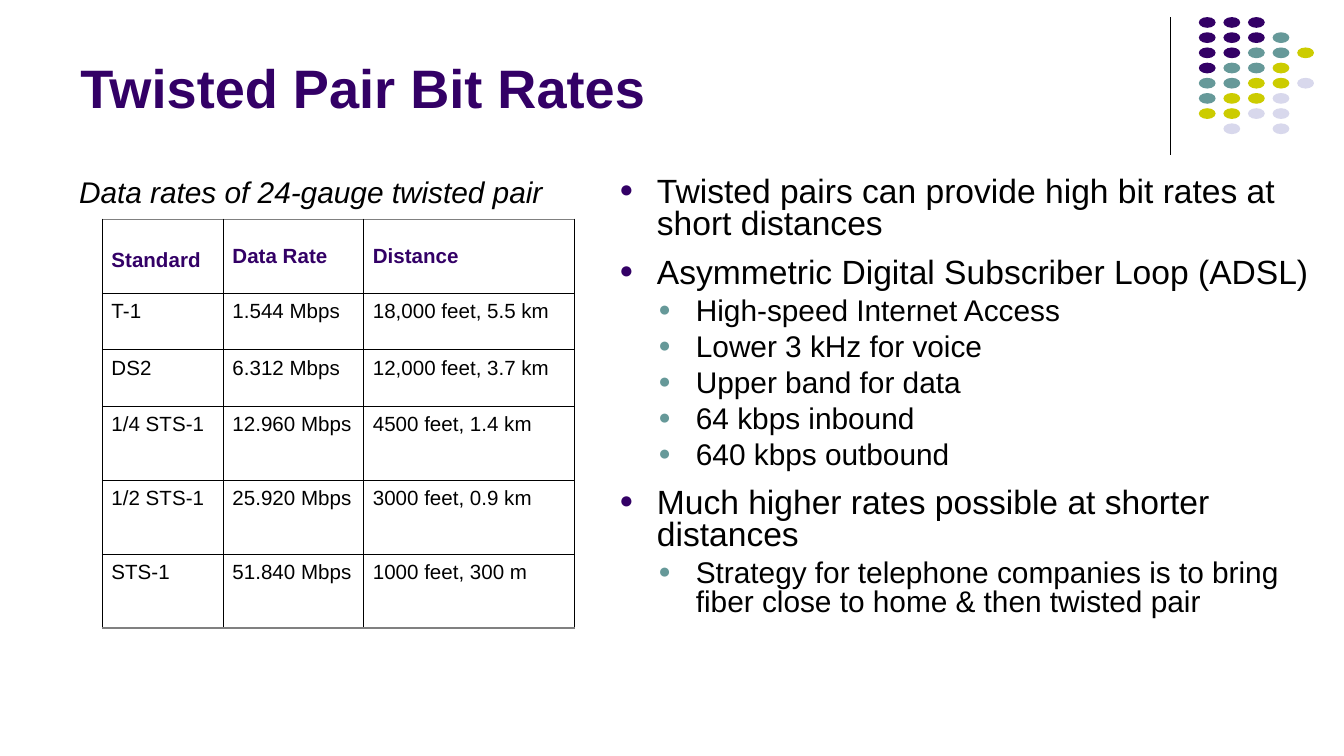
from dataclasses import dataclass

from lxml import etree
from pptx import Presentation, util as u
from pptx.dml.color import RGBColor
from pptx.enum import shapes, text
from pptx.oxml.ns import qn


@dataclass(frozen=True)
class Theme:
    font: str = "Arial"
    purple: str = "330066"
    teal: str = "669999"
    olive: str = "CCCC00"
    lavender: str = "D8D8EC"
    black: str = "000000"
    gray: str = "808080"
    title_size: float = 29
    body_size: float = 18
    detail_size: float = 16
    table_size: float = 11


THEME = Theme()
WIDTH = u.Inches(10)
HEIGHT = u.Emu(WIDTH * 9 // 16)
COLUMN, ROW = WIDTH / 100, HEIGHT / 56.25

DOT_ROWS = ["PPP", "PPPT", "PPTTY", "PTTY", "TTYYL", "TYYL", "YYLL", " L L"]
DOT_COLORS = {"P": THEME.purple, "T": THEME.teal, "Y": THEME.olive, "L": THEME.lavender}

BULLETS = [
    (0, "Twisted pairs can provide high bit rates at short distances"),
    (0, "Asymmetric Digital Subscriber Loop (ADSL)"),
    (1, "High-speed Internet Access"),
    (1, "Lower 3 kHz for voice"),
    (1, "Upper band for data"),
    (1, "64 kbps inbound"),
    (1, "640 kbps outbound"),
    (0, "Much higher rates possible at shorter distances"),
    (1, "Strategy for telephone companies is to bring fiber close to home & then twisted pair"),
]

RATES = [
    ("Standard", "Data Rate", "Distance"),
    ("T-1", "1.544 Mbps", "18,000 feet, 5.5 km"),
    ("DS2", "6.312 Mbps", "12,000 feet, 3.7 km"),
    ("1/4 STS-1", "12.960 Mbps", "4500 feet, 1.4 km"),
    ("1/2 STS-1", "25.920 Mbps", "3000 feet, 0.9 km"),
    ("STS-1", "51.840 Mbps", "1000 feet, 300 m"),
]


def grid(left, top, width, height):
    return [int(v) for v in (left * COLUMN, top * ROW, width * COLUMN, height * ROW)]


def style_font(paragraph, size, color, bold=False, italic=False):
    font = paragraph.font
    font.name, font.size = THEME.font, u.Pt(size)
    font.bold, font.italic = bold, italic
    font.color.rgb = RGBColor.from_string(color)


def add_text_frame(slide, box, anchor):
    frame = slide.shapes.add_textbox(*grid(*box)).text_frame
    frame.word_wrap = True
    frame.vertical_anchor = anchor
    return frame


def add_line_of_text(slide, box, anchor, content, size, color, **emphasis):
    paragraph = add_text_frame(slide, box, anchor).paragraphs[0]
    paragraph.text = content
    style_font(paragraph, size, color, **emphasis)


def add_divider(slide):
    left, top, _, height = grid(87.1, 1.3, 0, 10.2)
    line = slide.shapes.add_connector(
        shapes.MSO_CONNECTOR.STRAIGHT, left, top, left, top + height
    )
    line.line.color.rgb = RGBColor.from_string(THEME.black)
    line.line.width = u.Pt(0.75)
    etree.SubElement(line._element.spPr, qn("a:effectLst"))


def add_dots(slide):
    group = slide.shapes.add_group_shape()
    for row, pattern in enumerate(DOT_ROWS):
        for column, key in enumerate(pattern):
            if key == " ":
                continue
            box = grid(89.2 + 1.83 * column, 1.27 + 1.13 * row, 1.25, 0.8)
            dot = group.shapes.add_shape(shapes.MSO_SHAPE.OVAL, *box)
            dot.shadow.inherit = False
            dot.fill.solid()
            dot.fill.fore_color.rgb = RGBColor.from_string(DOT_COLORS[key])
            dot.line.fill.background()


def set_bullet(paragraph, level, color):
    properties = paragraph._p.get_or_add_pPr()
    properties.set("marL", str(u.Inches(0.28 if level == 0 else 0.57)))
    properties.set("indent", str(-u.Inches(0.28)))
    bullet_color = etree.SubElement(properties, qn("a:buClr"))
    etree.SubElement(bullet_color, qn("a:srgbClr"), val=color)
    etree.SubElement(properties, qn("a:buSzPct"), val="70000")
    etree.SubElement(properties, qn("a:buFont"), typeface=THEME.font)
    etree.SubElement(properties, qn("a:buChar"), char="●")


def add_bullets(slide, box):
    frame = add_text_frame(slide, box, text.MSO_ANCHOR.TOP)
    for index, (level, content) in enumerate(BULLETS):
        paragraph = frame.add_paragraph() if index else frame.paragraphs[0]
        paragraph.text = content
        paragraph.level = level
        paragraph.line_spacing = 0.8
        paragraph.space_before = u.Pt(4 if level else 9 if index else 4.5)
        set_bullet(paragraph, level, THEME.teal if level else THEME.purple)
        style_font(paragraph, THEME.detail_size if level else THEME.body_size, THEME.black)


def set_borders(cell, is_first, is_last):
    properties = cell._tc.get_or_add_tcPr()
    outer = {"T": is_first, "B": is_last}
    for side in "LRTB":
        color, width = (THEME.gray, 0.96) if outer.get(side) else (THEME.black, 0.45)
        border = etree.SubElement(properties, qn(f"a:ln{side}"), w=str(u.Pt(width)))
        fill = etree.SubElement(border, qn("a:solidFill"))
        etree.SubElement(fill, qn("a:srgbClr"), val=color)


def fill_cell(cell, content, is_header, is_last):
    cell.margin_left = cell.margin_right = u.Inches(0.07)
    cell.margin_top = cell.margin_bottom = u.Inches(0.05)
    cell.vertical_anchor = text.MSO_ANCHOR.MIDDLE if is_header else text.MSO_ANCHOR.TOP
    paragraph = cell.text_frame.paragraphs[0]
    paragraph.text = content
    style_font(
        paragraph, THEME.table_size, THEME.purple if is_header else THEME.black, bold=is_header
    )
    set_borders(cell, is_header, is_last)
    cell.fill.background()


def add_rate_table(slide, box):
    table = slide.shapes.add_table(len(RATES), len(RATES[0]), *grid(*box)).table
    table.first_row = table.horz_banding = False
    for column, width in zip(table.columns, (9, 10.45, 15.7)):
        column.width = int(width * COLUMN)
    for row, height in zip(table.rows, (5.5, 4.2, 4.2, 5.5, 5.5, 5.5)):
        row.height = int(height * ROW)
    for row, values in enumerate(RATES):
        for column, content in enumerate(values):
            fill_cell(table.cell(row, column), content, row == 0, row == len(RATES) - 1)
    standard_header = table.cell(0, 0)
    standard_header.vertical_anchor = text.MSO_ANCHOR.TOP
    standard_header.margin_top = u.Inches(0.22)


def main():
    presentation = Presentation()
    presentation.slide_width, presentation.slide_height = WIDTH, HEIGHT
    slide = presentation.slides.add_slide(presentation.slide_layouts[6])
    add_divider(slide)
    add_dots(slide)
    add_line_of_text(
        slide, (5, 1, 82.5, 8.4), text.MSO_ANCHOR.BOTTOM,
        "Twisted Pair Bit Rates", THEME.title_size, THEME.purple, bold=True,
    )
    add_bullets(slide, (45.1, 12.7, 53.4, 34.1))
    add_line_of_text(
        slide, (4.9, 12.4, 37.9, 3.7), text.MSO_ANCHOR.MIDDLE,
        "Data rates of 24-gauge twisted pair", THEME.detail_size, THEME.black, italic=True,
    )
    add_rate_table(slide, (7.6, 16.33, 35.15, 30.4))
    presentation.save("out.pptx")


if __name__ == "__main__":
    main()
